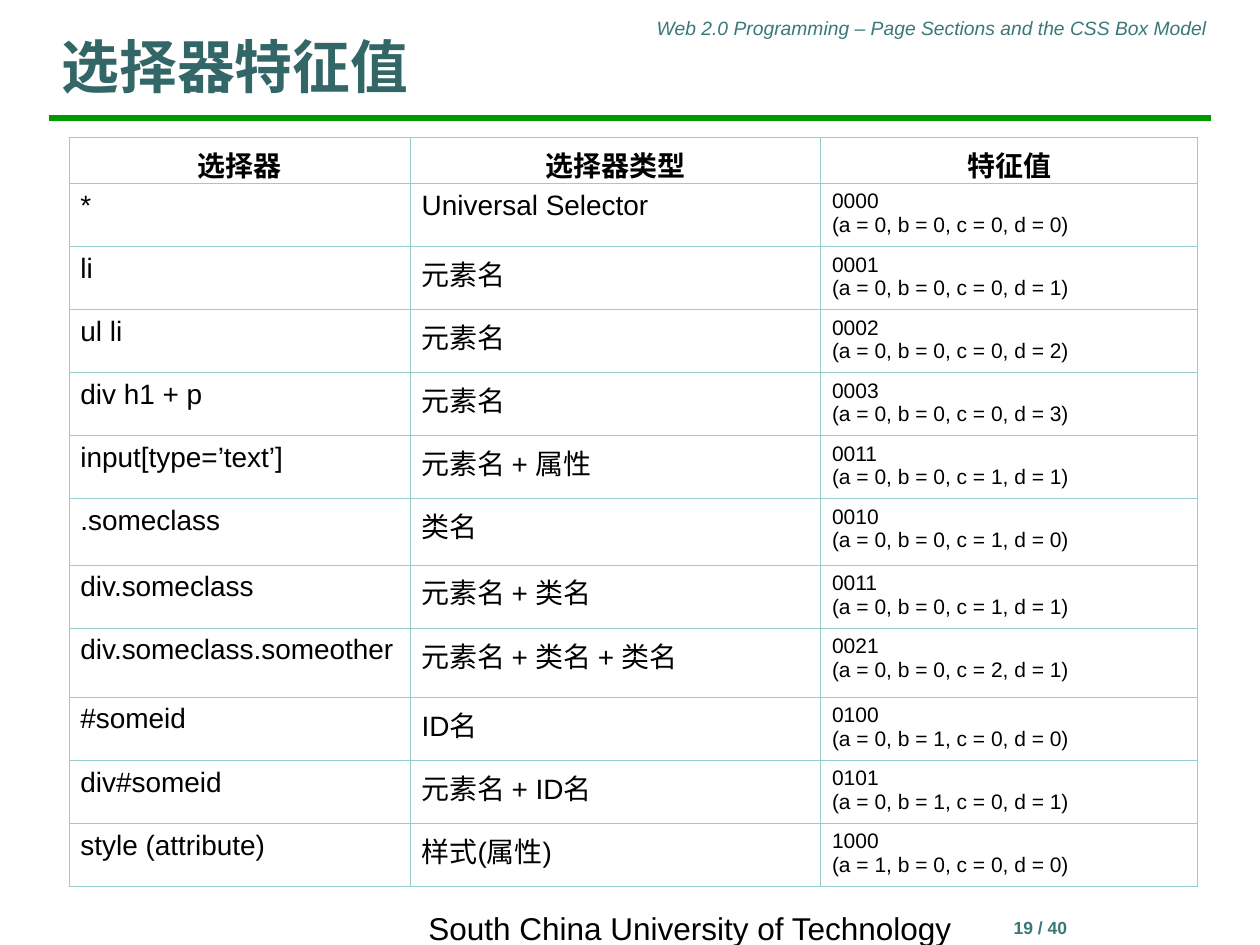
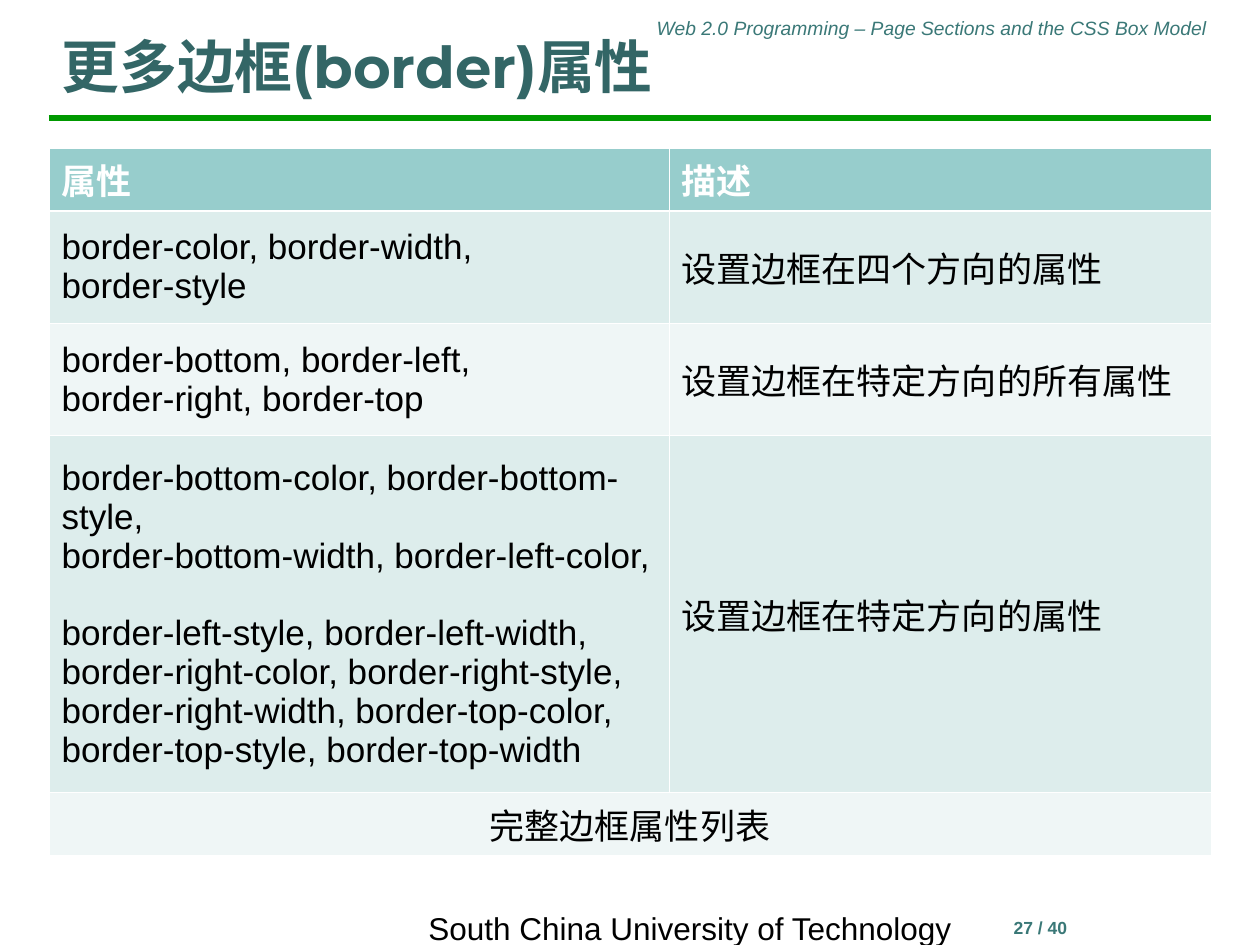
from lxml.etree import SubElement
from pptx import Presentation
from pptx.dml.color import RGBColor
from pptx.enum.shapes import MSO_CONNECTOR
from pptx.enum.text import MSO_ANCHOR, MSO_AUTO_SIZE, PP_ALIGN
from pptx.oxml.ns import qn
from pptx.util import Pt

BLACK = RGBColor(0x00, 0x00, 0x00)
WHITE = RGBColor(0xFF, 0xFF, 0xFF)
TITLE_TEAL = RGBColor(0x33, 0x66, 0x66)
NOTE_TEAL = RGBColor(0x3A, 0x78, 0x77)
RULE_GREEN = RGBColor(0x00, 0x99, 0x00)
HEAD_TEAL = RGBColor(0x97, 0xCD, 0xCC)
BAND_DARK = RGBColor(0xDD, 0xED, 0xEC)
BAND_LIGHT = RGBColor(0xEF, 0xF6, 0xF6)

LATIN = "Arial"
BODY = "Calibri"
DISPLAY = "Montserrat"

LEFT, CONTENT_WIDTH = 28, 664
RULE_TOP = 67.5
PAGE_COUNT = 40
COURSE = "Web 2.0 Programming – Page Sections and the CSS Box Model"
SCHOOL = "South China University of Technology"

SELECTOR_HEADS = ["选择器", "选择器类型", "特征值"]
SELECTORS = [
    ("*", "", "Universal Selector", "0000"),
    ("li", "元素名", "", "0001"),
    ("ul li", "元素名", "", "0002"),
    ("div h1 + p", "元素名", "", "0003"),
    ("input[type=’text’]", "元素名 ", "+ 属性", "0011"),
    (".someclass", "类名", "", "0010"),
    ("div.someclass", "元素名 ", "+ 类名", "0011"),
    ("div.someclass.someother", "元素名 ", "+ 类名 + 类名", "0021"),
    ("#someid", "", "ID名", "0100"),
    ("div#someid", "元素名 ", "+ ID名", "0101"),
    ("style (attribute)", "", "样式(属性)", "1000"),
]
SELECTOR_COLUMNS = [195, 234.5, 215.5]
SELECTOR_ROWS = [24.5, 35.5, 35.75, 34, 34, 35.5, 38, 34, 39.5, 34.5, 35.5, 35.5]

BORDER_PROPERTIES = [
    ("属性", "描述"),
    ("border-color, border-width, \nborder-style", "设置边框在四个方向的属性"),
    ("border-bottom, border-left, \nborder-right, border-top", "设置边框在特定方向的所有属性"),
    (
        "border-bottom-color, border-bottom-style, \n"
        "border-bottom-width, border-left-color, \n"
        "border-left-style, border-left-width, \n"
        "border-right-color, border-right-style, \n"
        "border-right-width, border-top-color, \n"
        "border-top-style, border-top-width",
        "设置边框在特定方向的属性",
    ),
    ("完整边框属性列表", ""),
]
BORDER_COLUMNS = [354.25, 309.75]
BORDER_ROWS = [36, 64.25, 64.25, 204, 36]


def write_text(paragraph, text, size=16, font=LATIN, color=BLACK,
               bold=False, italic=False, align=PP_ALIGN.LEFT):
    paragraph.alignment = align
    for index, line in enumerate(text.split("\n")):
        if index:
            paragraph.add_line_break()
        if line:
            run = paragraph.add_run()
            run.text = line
            run.font.size = Pt(size)
            run.font.name = font
            run.font.color.rgb = color
            run.font.bold = bold
            run.font.italic = italic


def add_label(slide, box, text, anchor=MSO_ANCHOR.TOP, **text_format):
    frame = slide.shapes.add_textbox(*map(Pt, box)).text_frame
    frame.word_wrap = True
    frame.vertical_anchor = anchor
    write_text(frame.paragraphs[0], text, **text_format)


def add_frame(presentation, title, page):
    slide = presentation.slides.add_slide(presentation.slide_layouts[5])
    heading = slide.shapes.title
    heading.left, heading.top, heading.width, heading.height = map(
        Pt, (LEFT, 11, CONTENT_WIDTH, 50))
    heading.text_frame.auto_size = MSO_AUTO_SIZE.NONE
    heading.text_frame.vertical_anchor = MSO_ANCHOR.BOTTOM
    write_text(heading.text_frame.paragraphs[0], title, size=33,
               font=DISPLAY, color=TITLE_TEAL, bold=True)

    rule = slide.shapes.add_connector(
        MSO_CONNECTOR.STRAIGHT, Pt(LEFT), Pt(RULE_TOP),
        Pt(LEFT + CONTENT_WIDTH), Pt(RULE_TOP))
    rule.line.color.rgb = RULE_GREEN
    rule.line.width = Pt(3)
    SubElement(rule._element.spPr, qn("a:effectLst"))

    add_label(slide, (348.5, 5.75, 348.5, 21), COURSE, size=11,
              color=NOTE_TEAL, italic=True, align=PP_ALIGN.RIGHT)
    add_label(slide, (513.5, 520.5, 162, 36), f"{page} / {PAGE_COUNT}", size=10,
              color=NOTE_TEAL, bold=True, align=PP_ALIGN.CENTER)
    add_label(slide, (229.75, 520.5, 329, 19.5), SCHOOL, size=18,
              anchor=MSO_ANCHOR.MIDDLE, align=PP_ALIGN.CENTER)
    return slide


def add_grid(slide, left, top, columns, rows):
    table = slide.shapes.add_table(
        len(rows), len(columns), Pt(left), Pt(top),
        Pt(sum(columns)), Pt(sum(rows))).table
    table.first_row = table.horz_banding = False
    for column, width in zip(table.columns, columns):
        column.width = Pt(width)
    for row, height in zip(table.rows, rows):
        row.height = Pt(height)
    return table


def set_borders(cell, color, top=0.45, bottom=0.45):
    properties = cell._tc.get_or_add_tcPr()
    for side, width in (("L", 0.45), ("R", 0.45), ("T", top), ("B", bottom)):
        line = SubElement(properties, qn(f"a:ln{side}"), w=str(Pt(width)))
        fill = SubElement(line, qn("a:solidFill"))
        SubElement(fill, qn("a:srgbClr"), val=str(color))


def add_selector_table(slide, left, top):
    table = add_grid(slide, left, top, SELECTOR_COLUMNS, SELECTOR_ROWS)
    for cell in table.iter_cells():
        set_borders(cell, HEAD_TEAL)
        cell.fill.background()
        cell.margin_left, cell.margin_right = Pt(6.5), Pt(0.75)

    for column, head in enumerate(SELECTOR_HEADS):
        cell = table.cell(0, column)
        cell.margin_left = Pt(0.75)
        write_text(cell.text_frame.paragraphs[0], head, font=BODY,
                   bold=True, align=PP_ALIGN.CENTER)

    for row, (selector, name, extra, weight) in enumerate(SELECTORS, 1):
        selector_frame, kind_frame, weight_frame = (
            table.cell(row, column).text_frame for column in range(3))
        write_text(selector_frame.paragraphs[0], selector)
        write_text(kind_frame.paragraphs[0], name, font=BODY)
        write_text(kind_frame.paragraphs[0], extra)
        parts = ", ".join(f"{letter} = {digit}" for letter, digit in zip("abcd", weight))
        write_text(weight_frame.paragraphs[0], weight, size=12)
        write_text(weight_frame.add_paragraph(), f"({parts})", size=12)


def add_border_table(slide, left, top):
    table = add_grid(slide, left, top, BORDER_COLUMNS, BORDER_ROWS)
    last = len(BORDER_ROWS) - 1
    table.cell(last, 0).merge(table.cell(last, 1))
    for row, texts in enumerate(BORDER_PROPERTIES):
        is_head = row == 0
        band = HEAD_TEAL if is_head else (BAND_LIGHT, BAND_DARK)[row % 2]
        for column, text in enumerate(texts):
            cell = table.cell(row, column)
            set_borders(cell, WHITE, top=1.47 if row == 1 else 0.45,
                        bottom=1.47 if is_head else 0.45)
            cell.fill.solid()
            cell.fill.fore_color.rgb = band
            cell.vertical_anchor = MSO_ANCHOR.MIDDLE
            write_text(cell.text_frame.paragraphs[0], text, size=20,
                       color=WHITE if is_head else BLACK, bold=is_head,
                       align=PP_ALIGN.CENTER if row == last else PP_ALIGN.LEFT)


def main():
    presentation = Presentation()
    presentation.slide_width, presentation.slide_height = Pt(720), Pt(540)
    add_selector_table(add_frame(presentation, "选择器特征值", 19), 39.5, 78.5)
    add_border_table(add_frame(presentation, "更多边框(border)属性", 27), LEFT, 84.5)
    presentation.save("out.pptx")


if __name__ == "__main__":
    main()
